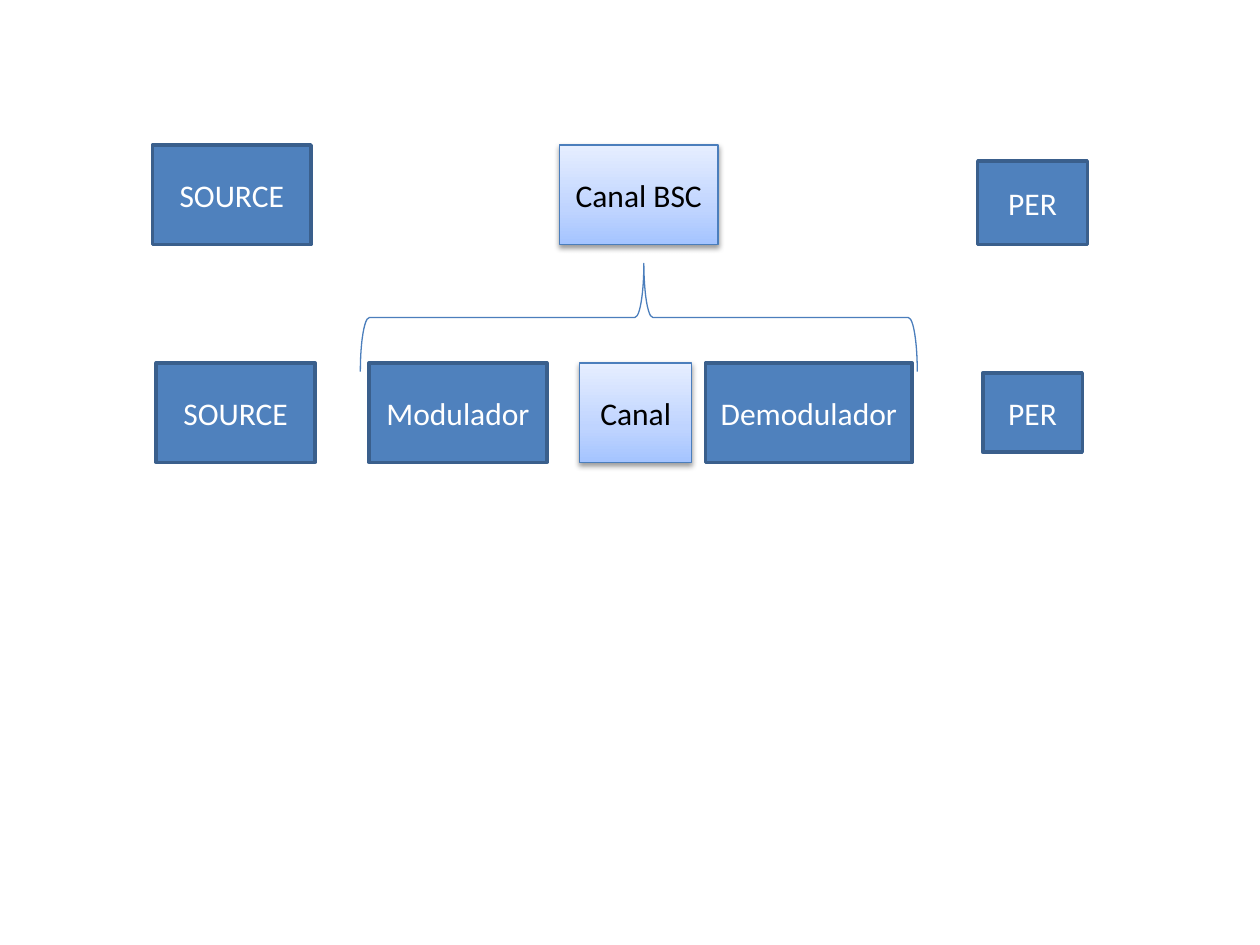
from copy import deepcopy

from lxml.etree import SubElement
from pptx import Presentation
from pptx.dml.color import RGBColor
from pptx.enum.shapes import MSO_SHAPE
from pptx.enum.text import MSO_ANCHOR, PP_ALIGN
from pptx.oxml.ns import qn
from pptx.util import Inches, Pt

WIDE, HIGH = 10, 7.5
TALL = 0.79  # usual box height

# middle line of each row, then its boxes: text, left, width, height, drop, style
ROWS = [
    (1.545, [
        ("SOURCE", 1.21, 1.26, TALL, 0, "block"),
        ("Canal BSC", 4.44, 1.26, TALL, 0, "canal"),
        ("PER", 7.76, 0.87, 0.66, 0.065, "block"),
    ]),
    (3.275, [
        ("SOURCE", 1.24, 1.26, TALL, 0, "block"),
        ("Modulador", 2.93, 1.41, TALL, 0, "block"),
        ("Demodulador", 5.6, 1.64, TALL, 0, "block"),
        ("Canal", 4.6, 0.89, TALL, 0, "canal"),
        ("PER", 7.8, 0.79, 0.63, 0, "block"),
    ]),
]
# line colour, line width, text colour
STYLES = {
    "block": ("3A5F8C", 2, "FFFFFF"),
    "canal": ("4B7EBC", 0.75, "000000"),
}
FILL = "4F81BD"
STOPS = [(0, "A4C4FF"), (0.35, "BFD4FF"), (1, "E6EEFF")]
BRACE = (4.64, 0.31, 0.86, 4.42)


def paint(color):
    return RGBColor.from_string(color)


def add_form(slide, kind, place, line, width):
    form = slide.shapes.add_shape(kind, *map(Inches, place))
    form.shadow.inherit = False
    form.line.color.rgb = paint(line)
    form.line.width = Pt(width)
    return form


def shade(form):
    """Give the box its three-stop gradient, light at the top."""
    form.fill.gradient()
    form.fill.gradient_angle = 90
    stops = form._element.spPr.find(".//" + qn("a:gsLst"))
    stops.append(deepcopy(stops[-1]))
    for stop, (share, color) in zip(form.fill.gradient_stops, STOPS):
        stop.position = share
        stop.color.rgb = paint(color)


def drop_shadow(form):
    effects = form._element.spPr.find(qn("a:effectLst"))
    outer = SubElement(effects, qn("a:outerShdw"), blurRad=str(Pt(3.1)),
                       dist=str(Pt(1.6)), dir="5400000", rotWithShape="0")
    color = SubElement(outer, qn("a:srgbClr"), val="000000")
    SubElement(color, qn("a:alpha"), val="38000")


def write(form, text, color):
    frame = form.text_frame
    frame.text = text
    frame.vertical_anchor = MSO_ANCHOR.MIDDLE
    line = frame.paragraphs[0]
    line.alignment = PP_ALIGN.CENTER
    font = line.runs[0].font
    font.name, font.size = "Calibri", Pt(18)
    font.color.rgb = paint(color)


def main():
    deck = Presentation()
    deck.slide_width, deck.slide_height = Inches(WIDE), Inches(HIGH)
    slide = deck.slides.add_slide(deck.slide_layouts[6])

    for middle, boxes in ROWS:
        for text, left, width, height, drop, style in boxes:
            line, weight, ink = STYLES[style]
            place = (left, middle + drop - height / 2, width, height)
            box = add_form(slide, MSO_SHAPE.RECTANGLE, place, line, weight)
            if style == "canal":
                shade(box)
                drop_shadow(box)
            else:
                box.fill.solid()
                box.fill.fore_color.rgb = paint(FILL)
            write(box, text, ink)

    brace = add_form(slide, MSO_SHAPE.LEFT_BRACE, BRACE, *STYLES["canal"][:2])
    brace.fill.background()
    brace.rotation = 90
    brace.adjustments[0], brace.adjustments[1] = 0.083, 0.491

    deck.save("out.pptx")


if __name__ == "__main__":
    main()
